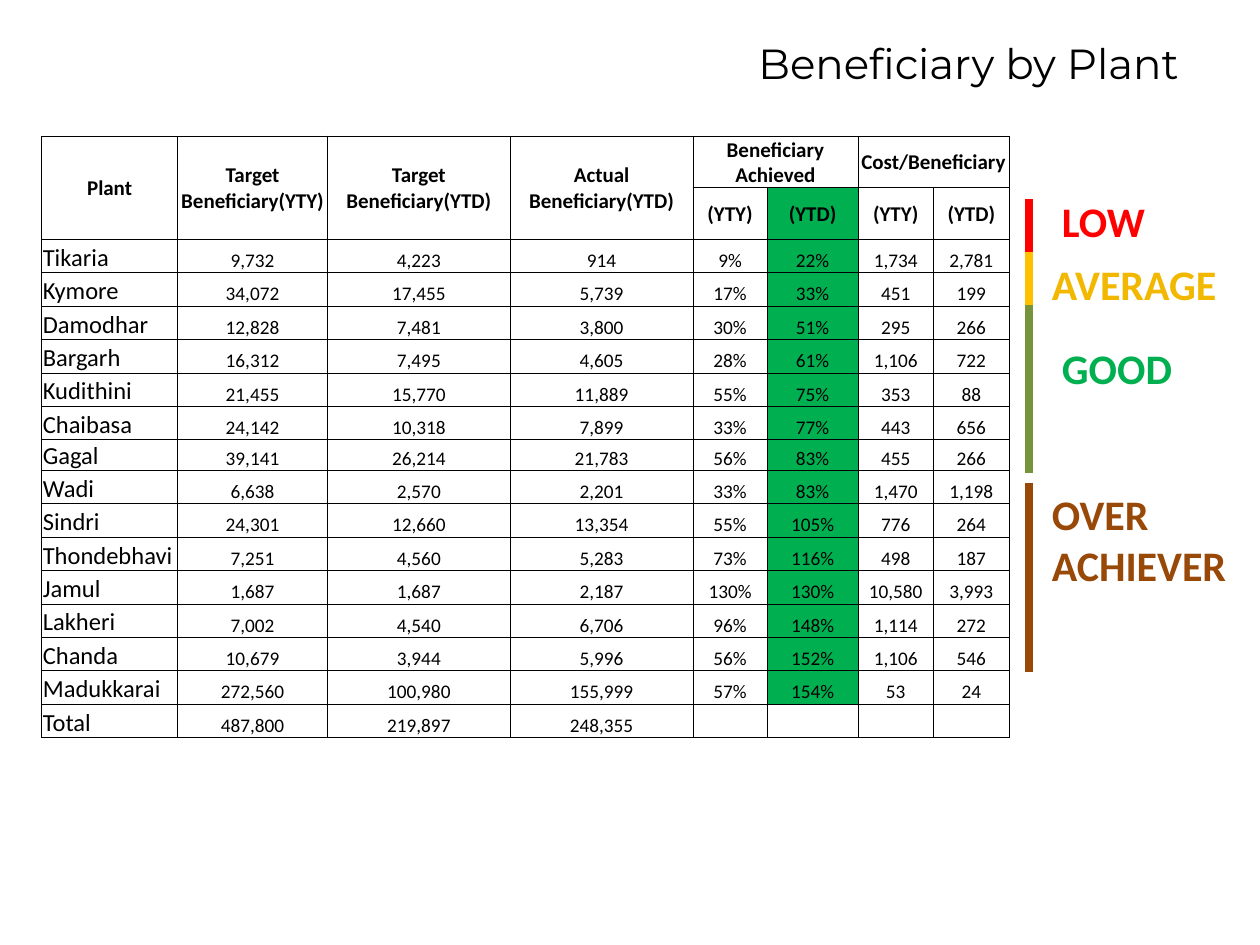
from lxml.etree import SubElement
from pptx import Presentation
from pptx.dml.color import RGBColor
from pptx.enum.shapes import MSO_CONNECTOR
from pptx.enum.text import MSO_ANCHOR, PP_ALIGN
from pptx.oxml.ns import qn
from pptx.util import Inches, Pt

BLACK = RGBColor(0x00, 0x00, 0x00)
RED = RGBColor(0xFF, 0x00, 0x00)
AMBER = RGBColor(0xFF, 0xC0, 0x00)
GOLD = RGBColor(0xF2, 0xB8, 0x00)
OLIVE = RGBColor(0x77, 0x93, 0x3C)
GREEN = RGBColor(0x00, 0xB0, 0x50)
BROWN = RGBColor(0x98, 0x48, 0x07)


def write(frame, text, size=24, color=BLACK, bold=False, font="Calibri", align=PP_ALIGN.LEFT):
    frame.word_wrap = True
    para = frame.paragraphs[0]
    para.alignment = align
    if not text:
        SubElement(para._p, qn("a:endParaRPr"), sz=str(size * 100))
        return
    run = para.add_run()
    run.text = text
    run.font.size = Pt(size)
    run.font.bold = bold
    run.font.name = font
    run.font.color.rgb = color


def outline(cell):
    props = cell._tc.get_or_add_tcPr()
    for side in ("lnL", "lnR", "lnT", "lnB"):
        line = SubElement(props, qn("a:" + side), w=str(Pt(0.5)))
        fill = SubElement(line, qn("a:solidFill"))
        SubElement(fill, qn("a:srgbClr"), val=str(BLACK))


deck = Presentation()
deck.slide_width = Inches(10)
deck.slide_height = Inches(7.5)
slide = deck.slides.add_slide(deck.slide_layouts[6])

title = slide.shapes.add_textbox(Inches(5.92), Inches(0.25), Inches(4.08), Inches(0.5))
write(title.text_frame, "Beneficiary by Plant", font="Montserrat")

bands = [
    (1.58, 2, RED),
    (2, 2.5, AMBER),
    (2.42, 3.75, OLIVE),
    (3.83, 5.33, BROWN),
]
for top, end, color in bands:
    bar = slide.shapes.add_connector(
        MSO_CONNECTOR.STRAIGHT, Inches(8.17), Inches(top), Inches(8.17), Inches(end))
    bar.line.color.rgb = color
    bar.line.width = Pt(4.5)
    SubElement(bar._element.spPr, qn("a:effectLst"))

grades = [
    ("LOW", 8.33, 1.5, 1.42, 0.5, RED),
    ("AVERAGE", 8.25, 2, 1.75, 0.5, GOLD),
    ("GOOD", 8.33, 2.67, 1.42, 0.5, GREEN),
    ("OVER ACHIEVER", 8.25, 3.83, 1.75, 0.91, BROWN),
]
for text, left, top, width, height, color in grades:
    box = slide.shapes.add_textbox(Inches(left), Inches(top), Inches(width), Inches(height))
    write(box.text_frame, text, color=color, bold=True)

heads = [
    ["Plant", "Target Beneficiary(YTY)", "Target Beneficiary(YTD)", "Actual Beneficiary(YTD)",
     "Beneficiary Achieved", "", "Cost/Beneficiary", ""],
    ["", "", "", "", "(YTY)", "(YTD)", "(YTY)", "(YTD)"],
]
plants = [
    ["Tikaria", "9,732", "4,223", "914", "9%", "22%", "1,734", "2,781"],
    ["Kymore", "34,072", "17,455", "5,739", "17%", "33%", "451", "199"],
    ["Damodhar", "12,828", "7,481", "3,800", "30%", "51%", "295", "266"],
    ["Bargarh", "16,312", "7,495", "4,605", "28%", "61%", "1,106", "722"],
    ["Kudithini", "21,455", "15,770", "11,889", "55%", "75%", "353", "88"],
    ["Chaibasa", "24,142", "10,318", "7,899", "33%", "77%", "443", "656"],
    ["Gagal", "39,141", "26,214", "21,783", "56%", "83%", "455", "266"],
    ["Wadi", "6,638", "2,570", "2,201", "33%", "83%", "1,470", "1,198"],
    ["Sindri", "24,301", "12,660", "13,354", "55%", "105%", "776", "264"],
    ["Thondebhavi", "7,251", "4,560", "5,283", "73%", "116%", "498", "187"],
    ["Jamul", "1,687", "1,687", "2,187", "130%", "130%", "10,580", "3,993"],
    ["Lakheri", "7,002", "4,540", "6,706", "96%", "148%", "1,114", "272"],
    ["Chanda", "10,679", "3,944", "5,996", "56%", "152%", "1,106", "546"],
    ["Madukkarai", "272,560", "100,980", "155,999", "57%", "154%", "53", "24"],
    ["Total", "487,800", "219,897", "248,355", "", "", "", ""],
]
rows = heads + plants
widths = [1.08, 1.19, 1.45, 1.45, 0.59, 0.72, 0.6, 0.6]
highs = [0.41] * 2 + [0.24 if plant[0] == "Gagal" else 0.265 for plant in plants]

grid = slide.shapes.add_table(
    len(rows), len(widths), Inches(0.33), Inches(1.08),
    Inches(sum(widths)), Inches(sum(highs))).table
grid.first_row = False
grid.horz_banding = False
for col, width in zip(grid.columns, widths):
    col.width = Inches(width)
for row, high in zip(grid.rows, highs):
    row.height = Inches(high)

for r, row in enumerate(rows):
    head = r < len(heads)
    for c, text in enumerate(row):
        cell = grid.cell(r, c)
        cell.margin_left = cell.margin_right = cell.margin_top = Inches(0.01)
        cell.margin_bottom = 0
        cell.vertical_anchor = MSO_ANCHOR.MIDDLE if head else MSO_ANCHOR.BOTTOM
        outline(cell)
        if c == 5 and 0 < r < len(rows) - 1:
            cell.fill.solid()
            cell.fill.fore_color.rgb = GREEN
        else:
            cell.fill.background()
        size = 12 if head else 14 if c == 0 else 11
        align = PP_ALIGN.CENTER if head or c else PP_ALIGN.LEFT
        write(cell.text_frame, text, size=size, bold=head, align=align)

for c in range(4):
    grid.cell(0, c).merge(grid.cell(1, c))
for c in (4, 6):
    grid.cell(0, c).merge(grid.cell(0, c + 1))

deck.save("out.pptx")
